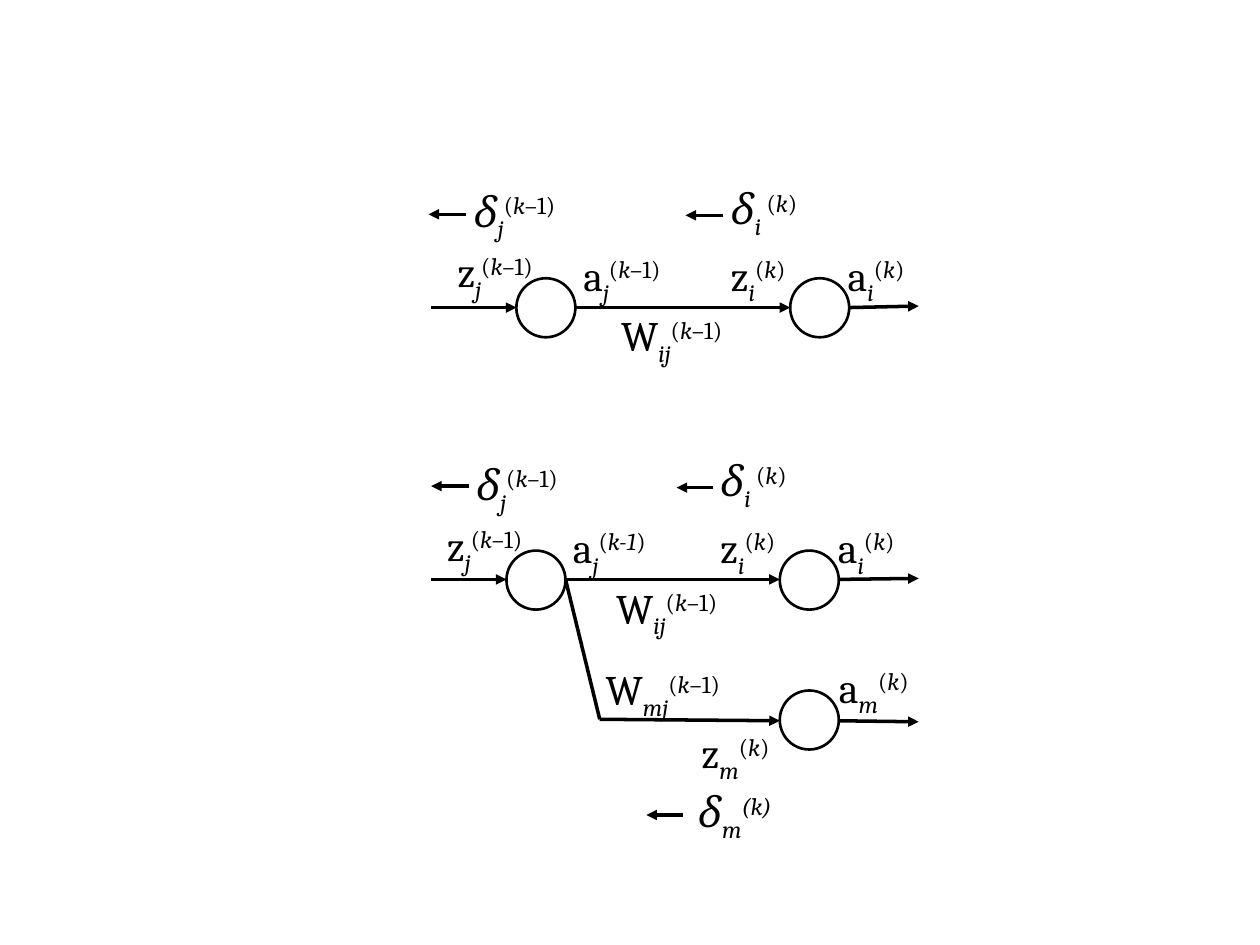
from lxml import etree
from pptx import Presentation
from pptx.dml.color import RGBColor
from pptx.enum.shapes import MSO_CONNECTOR, MSO_SHAPE
from pptx.enum.text import MSO_AUTO_SIZE
from pptx.oxml.ns import qn
from pptx.util import Cm, Pt

STRAIGHT = MSO_CONNECTOR.STRAIGHT
OVAL = MSO_SHAPE.OVAL
FIT_SHAPE = MSO_AUTO_SIZE.SHAPE_TO_FIT_TEXT

THEME = {
    "ink": RGBColor(0, 0, 0),
    "font": "Cambria",
    "text_size": Pt(24),
    "node_line": Pt(1.5),
    "arrow_line": Pt(2),
}
NODE_SIZE = 1.19
LABEL_HEIGHT = 1.27
SUBSCRIPT, SUPERSCRIPT = -25000, 30000

# Layer indices as (text, italic) runs
CURRENT = (("(", False), ("k", True), (")", False))
PREVIOUS = (("(", False), ("k", True), ("–1)", False))
PREVIOUS_ITALIC = (("(", False), ("k-1", True), (")", False))
CURRENT_ITALIC = (("(k)", True),)

# Lengths in cm. Nodes: left, top. Lines: start, end, has an arrowhead.
# Labels: left, top, width, symbol, subscript, layer index.
SINGLE_PATH = {
    "nodes": [(10.41, 5.61), (15.93, 5.61)],
    "lines": [
        (8.69, 6.2, 10.41, 6.2, True),
        (11.61, 6.2, 15.93, 6.2, True),
        (17.12, 6.2, 18.52, 6.17, True),
        (14.58, 4.34, 13.82, 4.34, True),
        (9.4, 4.32, 8.64, 4.32, True),
    ],
    "labels": [
        (8.97, 4.83, 2.31, "z", "j", PREVIOUS),
        (11.51, 4.9, 2.41, "a", "j", PREVIOUS),
        (14.48, 4.9, 1.78, "z", "i", CURRENT),
        (16.84, 4.9, 1.88, "a", "i", CURRENT),
        (12.27, 6.12, 3.1, "W", "ij", PREVIOUS),
        (14.48, 3.56, 2.18, "δ", "i ", CURRENT),
        (9.3, 3.61, 2.57, "δ", "j", PREVIOUS),
    ],
}
BRANCHED_PATH = {
    "nodes": [(10.21, 11.1), (15.72, 11.1), (15.72, 13.92)],
    "lines": [
        (8.69, 11.68, 10.21, 11.68, True),
        (11.4, 11.68, 15.72, 11.68, True),
        (16.92, 11.68, 18.52, 11.66, True),
        (14.38, 9.83, 13.64, 9.83, True),
        (9.45, 9.8, 8.69, 9.8, True),
        (16.92, 14.53, 18.52, 14.55, True),
        (13.77, 16.43, 13.03, 16.43, True),
        (11.4, 11.68, 12.09, 14.5, False),
        (12.09, 14.5, 15.72, 14.53, True),
    ],
    "labels": [
        (8.76, 10.34, 2.31, "z", "j", PREVIOUS),
        (11.3, 10.39, 2.34, "a", "j", PREVIOUS_ITALIC),
        (14.27, 10.39, 1.78, "z", "i", CURRENT),
        (16.64, 10.39, 1.88, "a", "i", CURRENT),
        (12.17, 11.61, 3.0, "W", "ij", PREVIOUS),
        (14.27, 9.04, 2.18, "δ", "i ", CURRENT),
        (9.35, 9.12, 2.57, "δ", "j", PREVIOUS),
        (13.89, 14.53, 2.03, "z", "m", CURRENT),
        (16.66, 13.21, 2.13, "a", "m", CURRENT),
        (13.82, 15.72, 2.36, "δ", "m", CURRENT_ITALIC),
        (11.96, 13.26, 3.28, "W", "mj", PREVIOUS),
    ],
}


def add_line(shapes, start_x, start_y, end_x, end_y, has_arrowhead):
    """Draw a straight line, with an arrowhead at its end if asked."""
    connector = shapes.add_connector(
        STRAIGHT, Cm(start_x), Cm(start_y), Cm(end_x), Cm(end_y))
    connector.line.color.rgb = THEME["ink"]
    connector.line.width = THEME["arrow_line"]
    if has_arrowhead:
        outline = connector.line._get_or_add_ln()
        etree.SubElement(outline, qn("a:tailEnd"), type="triangle")
    etree.SubElement(connector._element.spPr, qn("a:effectLst"))


def add_label(shapes, left, top, width, symbol, subscript, layer):
    """Write a symbol with its subscript and its layer index above."""
    box = shapes.add_textbox(Cm(left), Cm(top), Cm(width), Cm(LABEL_HEIGHT))
    frame = box.text_frame
    frame.word_wrap = False
    frame.auto_size = FIT_SHAPE
    paragraph = frame.paragraphs[0]
    pieces = [(symbol, symbol == "δ", 0), (subscript, True, SUBSCRIPT)]
    pieces += [(text, italic, SUPERSCRIPT) for text, italic in layer]
    for text, italic, baseline in pieces:
        run = paragraph.add_run()
        run.text = text
        run.font.name = THEME["font"]
        run.font.size = THEME["text_size"]
        run.font.color.rgb = THEME["ink"]
        run.font.italic = italic
        if baseline:
            run._r.get_or_add_rPr().set("baseline", str(baseline))


presentation = Presentation()
presentation.slide_width = Cm(25.4)
presentation.slide_height = Cm(19.05)
slide = presentation.slides.add_slide(presentation.slide_layouts[6])

for diagram in (SINGLE_PATH, BRANCHED_PATH):
    shapes = slide.shapes.add_group_shape().shapes
    for left, top in diagram["nodes"]:
        node = shapes.add_shape(
            OVAL, Cm(left), Cm(top), Cm(NODE_SIZE), Cm(NODE_SIZE))
        node.shadow.inherit = False
        node.fill.background()
        node.line.color.rgb = THEME["ink"]
        node.line.width = THEME["node_line"]
    for line in diagram["lines"]:
        add_line(shapes, *line)
    for label in diagram["labels"]:
        add_label(shapes, *label)

presentation.save("out.pptx")
